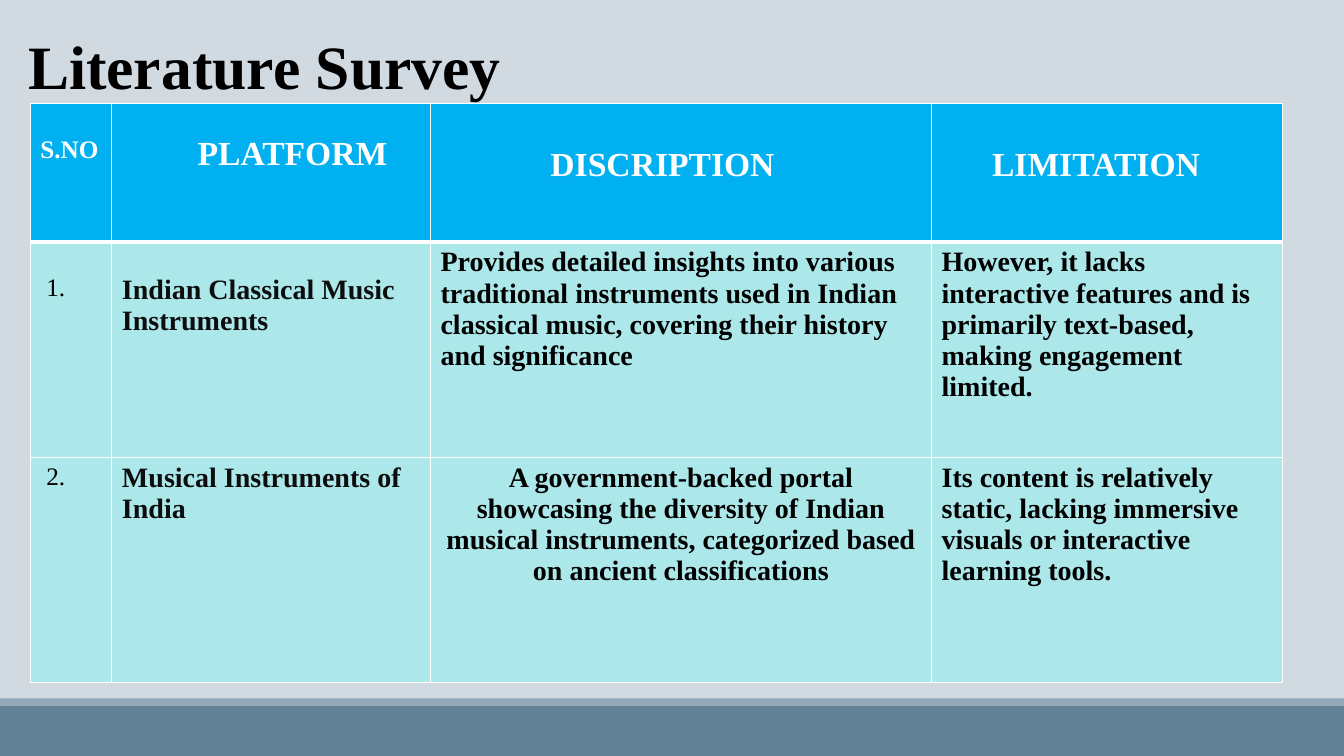
from lxml import etree
from pptx import Presentation
from pptx.dml.color import RGBColor
from pptx.enum.shapes import MSO_SHAPE
from pptx.enum.text import MSO_ANCHOR, PP_ALIGN
from pptx.oxml.ns import qn
from pptx.util import Inches, Pt

RECTANGLE = MSO_SHAPE.RECTANGLE
BOTTOM, TOP = MSO_ANCHOR.BOTTOM, MSO_ANCHOR.TOP
LEFT, CENTER = PP_ALIGN.LEFT, PP_ALIGN.CENTER

FONT = "Times New Roman"
BACKGROUND, HEADER_FILL, BODY_FILL = "D1D9E1", "00B0F0", "ACE7EA"
WHITE, BLACK, SOFT_BLACK = "FFFFFF", "000000", "0D0D0D"
TITLE = "Literature Survey"
FOOTER_BANDS = [(7, 0.5, "618197"), (6.93, 0.07, "92A9B9")]
COLUMN_WIDTHS = [0.81, 3.16, 4.97, 3.48]
ROW_HEIGHTS = [1.37, 2.14, 2.23]

# text, size, bold, colour, left inset, top inset, alignment
SURVEY = [
    [
        ("S.NO", 18, True, WHITE, 0.1, 0.32, LEFT),
        ("PLATFORM", 24, True, WHITE, 0.85, 0.32, LEFT),
        ("DISCRIPTION", 24, True, WHITE, 1.19, 0.42, LEFT),
        ("LIMITATION", 24, True, WHITE, 0.6, 0.42, LEFT),
    ],
    [
        ("1.", 18, False, BLACK, 0.16, 0.32, LEFT),
        ("Indian Classical Music Instruments", 20, True, SOFT_BLACK, 0.1, 0.32, LEFT),
        ("Provides detailed insights into various traditional instruments used in "
         "Indian classical music, covering their history and significance",
         20, True, BLACK, 0.1, 0.05, LEFT),
        ("However, it lacks interactive features and is primarily text-based, "
         "making engagement limited.", 20, True, BLACK, 0.1, 0.05, LEFT),
    ],
    [
        ("2.", 18, False, BLACK, 0.16, 0.05, LEFT),
        ("Musical Instruments of India", 20, True, SOFT_BLACK, 0.1, 0.05, LEFT),
        ("A government-backed portal showcasing the diversity of Indian musical "
         "instruments, categorized based on ancient classifications",
         20, True, BLACK, 0.1, 0.05, CENTER),
        ("Its content is relatively static, lacking immersive visuals or "
         "interactive learning tools.", 20, True, BLACK, 0.1, 0.05, LEFT),
    ],
]


def paint(fill, colour):
    fill.solid()
    fill.fore_color.rgb = RGBColor.from_string(colour)


def write(frame, text, size, bold, colour, alignment=LEFT):
    paragraph = frame.paragraphs[0]
    paragraph.alignment = alignment
    run = paragraph.add_run()
    run.text = text
    run.font.name = FONT
    run.font.size = Pt(size)
    run.font.bold = bold
    paint(run.font.fill, colour)


def add_borders(cell, widths):
    properties = cell._tc.get_or_add_tcPr()
    for position, (side, width) in enumerate(widths.items()):
        line = etree.Element(qn(f"a:{side}"), w=str(Pt(width)))
        solid = etree.SubElement(line, qn("a:solidFill"))
        etree.SubElement(solid, qn("a:srgbClr"), val=WHITE)
        properties.insert(position, line)


def add_footer(slide, width):
    for top, height, colour in FOOTER_BANDS:
        band = slide.shapes.add_shape(RECTANGLE, 0, Inches(top), width, Inches(height))
        band.shadow.inherit = False
        paint(band.fill, colour)
        band.line.fill.background()


def add_title(slide):
    box = slide.shapes.add_textbox(Inches(0.18), Inches(0.2), Inches(9.83), Inches(0.84))
    frame = box.text_frame
    frame.word_wrap = True
    frame.vertical_anchor = BOTTOM
    frame.margin_bottom = Inches(0.03)
    write(frame, TITLE, 44, True, BLACK)


def add_survey(slide):
    table = slide.shapes.add_table(
        len(ROW_HEIGHTS), len(COLUMN_WIDTHS), Inches(0.3), Inches(1.03),
        Inches(sum(COLUMN_WIDTHS)), Inches(sum(ROW_HEIGHTS))).table
    for column, width in zip(table.columns, COLUMN_WIDTHS):
        column.width = Inches(width)
    for row, height in zip(table.rows, ROW_HEIGHTS):
        row.height = Inches(height)
    for r, entries in enumerate(SURVEY):
        for c, (text, size, bold, colour, left, top, alignment) in enumerate(entries):
            cell = table.cell(r, c)
            cell.margin_left, cell.margin_top = Inches(left), Inches(top)
            cell.margin_right = Inches(0.05 if c == 0 else 0.1)
            cell.vertical_anchor = TOP
            paint(cell.fill, BODY_FILL if r else HEADER_FILL)
            add_borders(cell, {"lnL": 1, "lnR": 1, "lnT": 3 if r == 1 else 1,
                               "lnB": 1 if r else 3})
            write(cell.text_frame, text, size, bold, colour, alignment)


def main():
    deck = Presentation()
    deck.slide_width, deck.slide_height = Inches(13.33), Inches(7.5)
    slide = deck.slides.add_slide(deck.slide_layouts[6])
    paint(slide.background.fill, BACKGROUND)
    add_footer(slide, deck.slide_width)
    add_title(slide)
    add_survey(slide)
    deck.save("out.pptx")


if __name__ == "__main__":
    main()
